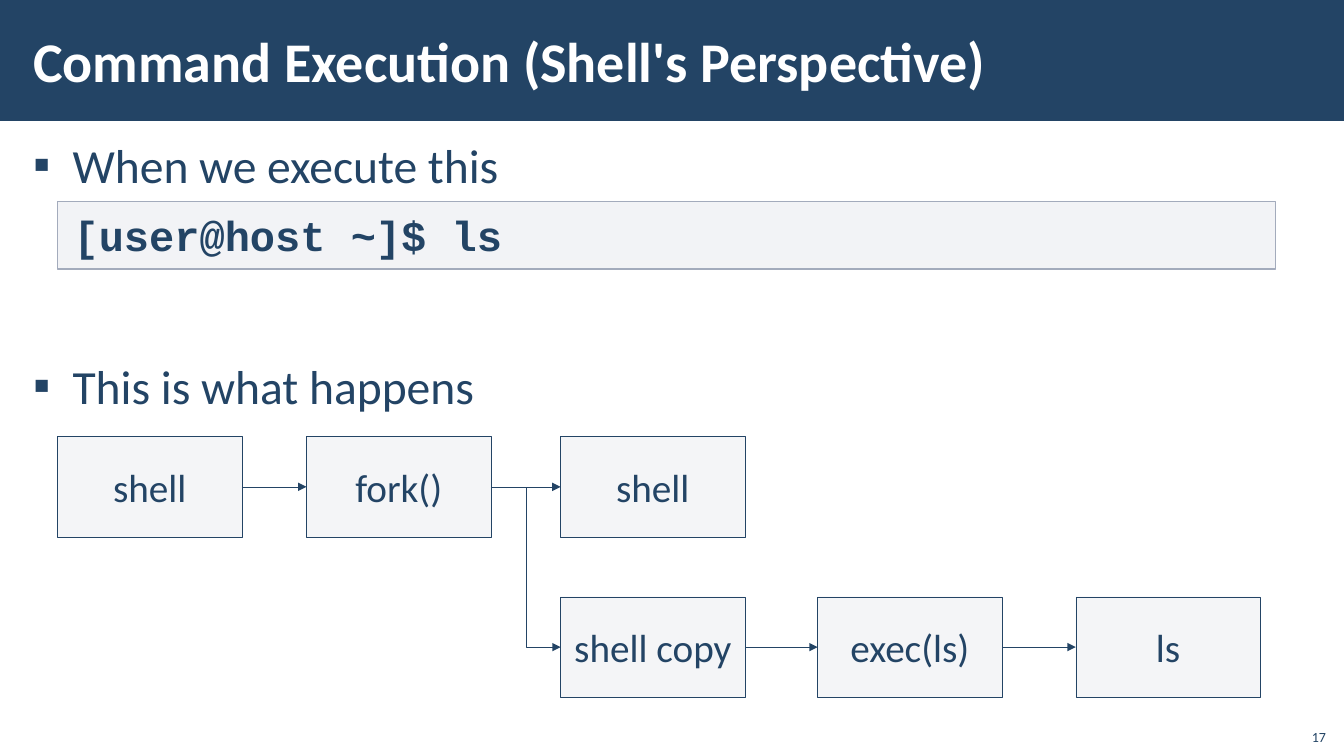
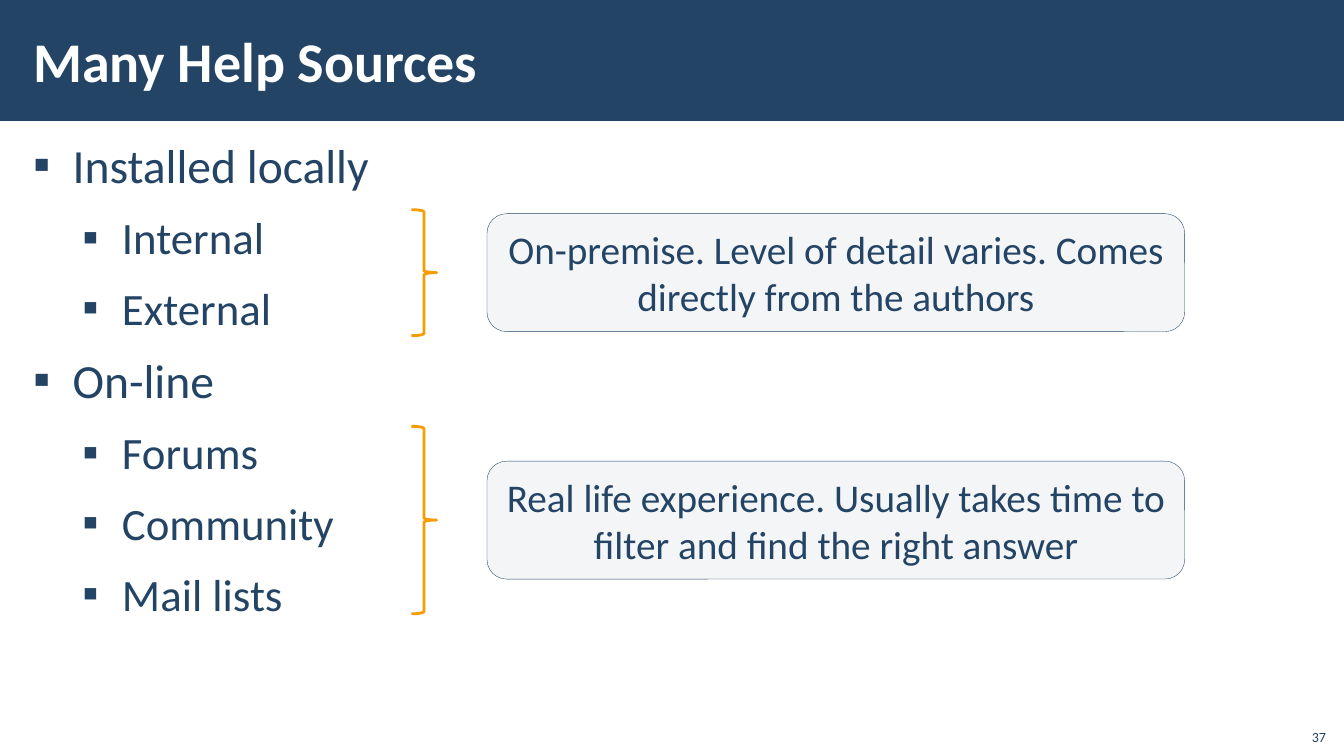
"""Build two slides: how a shell runs a command, and where to find help."""
from lxml import etree
from pptx import Presentation
from pptx import util as u
from pptx.dml import color as dml
from pptx.enum import shapes, text
from pptx.oxml import ns

NAVY, WHITE, PALE, ORANGE = "234465", "FFFFFF", "F4F5F7", "F99C00"
COMMAND_FILL, COMMAND_LINE = "C2C7D2", "A3ABBC"
Inches, Pt = u.Inches, u.Pt
LEFT, CENTER, RIGHT = text.PP_ALIGN.LEFT, text.PP_ALIGN.CENTER, text.PP_ALIGN.RIGHT
TOP, MIDDLE, BOTTOM = text.MSO_ANCHOR.TOP, text.MSO_ANCHOR.MIDDLE, text.MSO_ANCHOR.BOTTOM
Shape, Connector = shapes.MSO_SHAPE, shapes.MSO_CONNECTOR


def rgb(value):
    """Turn a hex string into a colour."""
    return dml.RGBColor.from_string(value)


def style(shape, lines=(), fill=None, line=None, width=0.25, size=28, color=NAVY,
          bold=False, face="Calibri", align=CENTER, anchor=MIDDLE, inset=(0.1, 0.05)):
    """Set the fill, outline and text of a shape."""
    shape.shadow.inherit = False
    if fill:
        shape.fill.solid()
        shape.fill.fore_color.rgb = rgb(fill)
    else:
        shape.fill.background()
    if line:
        shape.line.color.rgb = rgb(line)
        shape.line.width = Pt(width)
    else:
        shape.line.fill.background()
    frame = shape.text_frame
    across, down = map(Inches, inset)
    frame_format = {"word_wrap": True, "auto_size": text.MSO_AUTO_SIZE.NONE,
                    "vertical_anchor": anchor, "margin_left": across,
                    "margin_right": across, "margin_top": down, "margin_bottom": down}
    for name, value in frame_format.items():
        setattr(frame, name, value)
    frame.text = "\n".join(lines)
    for paragraph in frame.paragraphs:
        paragraph.alignment = align
        for run in paragraph.runs:
            for name, value in {"name": face, "size": Pt(size), "bold": bold}.items():
                setattr(run.font, name, value)
            run.font.color.rgb = rgb(color)


presentation = Presentation()
presentation.slide_width, presentation.slide_height = Inches(13.33), Inches(7.5)
layout = presentation.slide_layouts[5]

PAGES = [
    ("Command Execution (Shell's Perspective)", "17",
     [(0, "When we execute this", 6), (0, "This is what happens", 111)]),
    ("Many Help Sources", "37",
     [(0, "Installed locally", 6), (1, "Internal", 6), (1, "External", 6),
      (0, "On-line", 6), (1, "Forums", 6), (1, "Community", 6), (1, "Mail lists", 6)]),
]
slides = []
for heading, number, bullets in PAGES:
    slide = presentation.slides.add_slide(layout)
    slides.append(slide)

    title = slide.shapes.title
    title.left, title.top, title.width, title.height = map(Inches, (0.21, 0.11, 10.63, 0.97))
    style(title, [heading], size=40, color=WHITE, bold=True, align=LEFT, inset=(0.12, 0.04))

    body = slide.shapes.add_textbox(*map(Inches, (0.21, 1.31, 12.92, 6.05)))
    style(body, [words for level, words, before in bullets], size=34, align=LEFT,
          anchor=TOP, inset=(0.12, 0.04))
    for paragraph, (level, words, before) in zip(body.text_frame.paragraphs, bullets):
        paragraph.level = level
        paragraph.space_before, paragraph.space_after = Pt(before), Pt(6)
        paragraph.runs[0].font.size = Pt(34 - 2 * level)
        properties = paragraph._p.get_or_add_pPr()
        properties.set("marL", str(Inches(0.39 + 0.49 * level)))
        properties.set("indent", str(Inches(-0.39)))
        etree.SubElement(properties, ns.qn("a:buFont")).set("typeface", "Calibri")
        etree.SubElement(properties, ns.qn("a:buChar")).set("char", "▪")

    page_number = slide.shapes.add_textbox(*map(Inches, (12.85, 7.12, 0.4, 0.32)))
    style(page_number, [number], size=10, align=RIGHT, anchor=BOTTOM)

execution, sources = slides

band = execution.shapes.add_shape(Shape.RECTANGLE, 0, 0, presentation.slide_width, Inches(1.2))
style(band, fill=NAVY)
layout.shapes._spTree.insert(2, band._element)

command = execution.shapes.add_shape(Shape.RECTANGLE, *map(Inches, (0.57, 2, 12.08, 0.67)))
style(command, ["[user@host ~]$ ls"], fill=COMMAND_FILL, line=COMMAND_LINE, width=1, size=30,
      bold=True, face="Courier New", align=LEFT, anchor=TOP, inset=(0.16, 0.08))
fill_color = command._element.spPr.find(ns.qn("a:solidFill"))[0]
etree.SubElement(fill_color, ns.qn("a:alpha")).set("val", "20000")

COLUMNS = [0.57, 3.04, 5.56, 8.11, 10.67]
PARENT_ROW, CHILD_ROW = 4.33, 5.92
STEPS = [("shell", 0, PARENT_ROW), ("fork()", 1, PARENT_ROW), ("shell", 2, PARENT_ROW),
         ("shell copy", 2, CHILD_ROW), ("exec(ls)", 3, CHILD_ROW), ("ls", 4, CHILD_ROW)]
steps = []
for label, column, top in STEPS:
    step = execution.shapes.add_shape(
        Shape.RECTANGLE, *map(Inches, (COLUMNS[column], top, 1.83, 1)))
    style(step, [label], fill=PALE, line=NAVY)
    steps.append(step)

for start, end in [(0, 1), (1, 2), (1, 3), (3, 4), (4, 5)]:
    same_row = steps[start].top == steps[end].top
    arrow = execution.shapes.add_connector(
        Connector.STRAIGHT if same_row else Connector.ELBOW, 0, 0, 0, 0)
    arrow.begin_connect(steps[start], 3)
    arrow.end_connect(steps[end], 1)
    arrow.line.color.rgb = rgb(NAVY)
    arrow.line.width = Pt(0.25)
    etree.SubElement(arrow.line._get_or_add_ln(), ns.qn("a:tailEnd")).set("type", "triangle")
    etree.SubElement(arrow._element.spPr, ns.qn("a:effectLst"))

NOTE_HEIGHT = 1.17
REMARKS = [
    (2.08, 1.25, "On-premise. Level of detail varies. Comes directly from the authors"),
    (4.23, 1.86, "Real life experience. Usually takes time to filter and find the right answer"),
]
for top, height, words in REMARKS:
    brace = sources.shapes.add_shape(Shape.RIGHT_BRACE, *map(Inches, (4.08, top, 0.25, height)))
    style(brace, line=ORANGE, width=2)
    note_top = top + (height - NOTE_HEIGHT) / 2
    note = sources.shapes.add_shape(
        Shape.ROUNDED_RECTANGLE, *map(Inches, (4.83, note_top, 6.92, NOTE_HEIGHT)))
    style(note, [words], fill=PALE, line=NAVY)

presentation.save("out.pptx")
